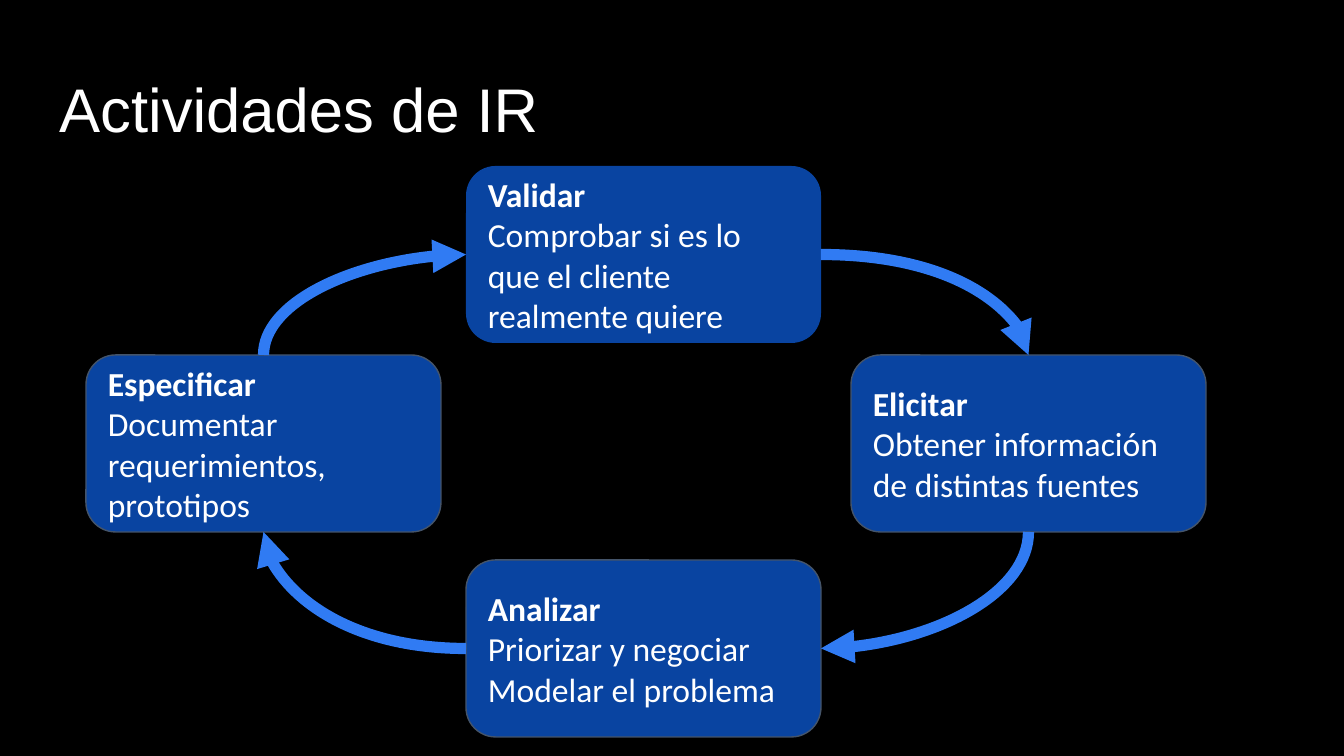
from pptx import Presentation
from pptx import util as u
from pptx.dml.color import RGBColor
from pptx.enum import shapes, text
from pptx.oxml.ns import qn
from lxml import etree

SCALE = 914400 / 134.4
BLACK = RGBColor(0x00, 0x00, 0x00)
WHITE = RGBColor(0xFF, 0xFF, 0xFF)
NAVY = RGBColor(0x09, 0x44, 0xA1)
SLATE = RGBColor(0x44, 0x54, 0x6A)
BLUE = RGBColor(0x30, 0x7B, 0xF3)
CARD_WIDTH, CARD_HEIGHT = 355, 177
ACTIVITIES = [
    ("Validar", ["Comprobar si es lo que el cliente realmente quiere"], 466, 166),
    ("Elicitar", ["Obtener información de distintas fuentes"], 851, 355),
    ("Analizar", ["Priorizar y negociar", "Modelar el problema"], 466, 560),
    ("Especificar", ["Documentar requerimientos, prototipos"], 86, 355),
]


def px(*lengths):
    """Turn picture pixels into EMU."""
    return [u.Emu(round(length * SCALE)) for length in lengths]


def write_text(shape, lines, size=18, font="Calibri", color=WHITE,
               bold_first=False, anchor=text.MSO_ANCHOR.MIDDLE, spacing=None):
    """Write lines as one paragraph with line breaks."""
    frame = shape.text_frame
    frame.word_wrap = True
    frame.vertical_anchor = anchor
    frame.margin_left = frame.margin_right = u.Inches(0.1)
    frame.margin_top = frame.margin_bottom = u.Inches(0.1)
    paragraph = frame.paragraphs[0]
    paragraph.alignment = text.PP_ALIGN.LEFT
    paragraph.line_spacing = spacing
    for index, line in enumerate(lines):
        if index:
            paragraph.add_line_break()
        run = paragraph.add_run()
        run.text = line
        run.font.size = u.Pt(size)
        run.font.name = font
        run.font.color.rgb = color
        run.font.bold = bold_first and index == 0


def add_title(slide, title, left, top, width, height):
    """Place the slide title."""
    shape = slide.shapes.add_textbox(*px(left, top, width, height))
    write_text(shape, [title], size=33, font="Arial", spacing=0.9,
               anchor=text.MSO_ANCHOR.TOP)


def add_card(slide, name, details, left, top, outlined):
    """Place one activity card."""
    shape = slide.shapes.add_shape(shapes.MSO_SHAPE.ROUNDED_RECTANGLE,
                                   *px(left, top, CARD_WIDTH, CARD_HEIGHT))
    shape.adjustments[0] = 0.167
    shape.shadow.inherit = False
    shape.fill.solid()
    shape.fill.fore_color.rgb = NAVY
    if outlined:
        shape.line.color.rgb = SLATE
        shape.line.width = u.Pt(0.75)
    else:
        shape.line.fill.background()
    write_text(shape, [name, *details], bold_first=True)


def side_point(left, top, turn):
    """Return the middle of a card's right, bottom, left or top side."""
    across, down = [(1, 0.5), (0.5, 1), (0, 0.5), (0.5, 0)][turn % 4]
    return left + across * CARD_WIDTH, top + down * CARD_HEIGHT


def add_arc(slide, start, end, turn):
    """Draw a clockwise curved arrow, rotated by quarter turns."""
    (x1, y1), (x2, y2) = start, end
    width, height = abs(x2 - x1), abs(y2 - y1)
    if turn % 2:
        width, height = height, width
    left, top = (x1 + x2 - width) / 2, (y1 + y2 - height) / 2
    arc = slide.shapes.add_connector(shapes.MSO_CONNECTOR.CURVE,
                                     *px(left, top, left + width, top + height))
    arc.line.color.rgb = BLUE
    arc.line.width = u.Pt(6)
    properties = arc._element.spPr
    properties.find(qn("a:prstGeom")).set("prst", "curvedConnector2")
    properties.find(qn("a:xfrm")).set("rot", str(turn * 90 * 60000))
    etree.SubElement(properties.find(qn("a:ln")), qn("a:tailEnd"), type="triangle")
    etree.SubElement(properties, qn("a:effectLst"))


def add_cycle(slide, activities, left, top):
    """Place the cards and the arrows that lead from each to the next."""
    places = [(left + x, top + y) for _, _, x, y in activities]
    for index, (name, details, _, _) in enumerate(activities):
        add_card(slide, name, details, *places[index], outlined=index > 0)
    for turn, place in enumerate(places):
        target = places[(turn + 1) % len(places)]
        add_arc(slide, side_point(*place, turn), side_point(*target, turn + 3), turn)


def main():
    """Build and save the slide."""
    presentation = Presentation()
    presentation.slide_width, presentation.slide_height = px(1344, 756)
    slide = presentation.slides.add_slide(presentation.slide_layouts[6])
    slide.background.fill.solid()
    slide.background.fill.fore_color.rgb = BLACK
    add_title(slide, "Actividades de IR", 46, 66, 1252, 84)
    add_cycle(slide, ACTIVITIES, 0, 0)
    presentation.save("out.pptx")


main()
